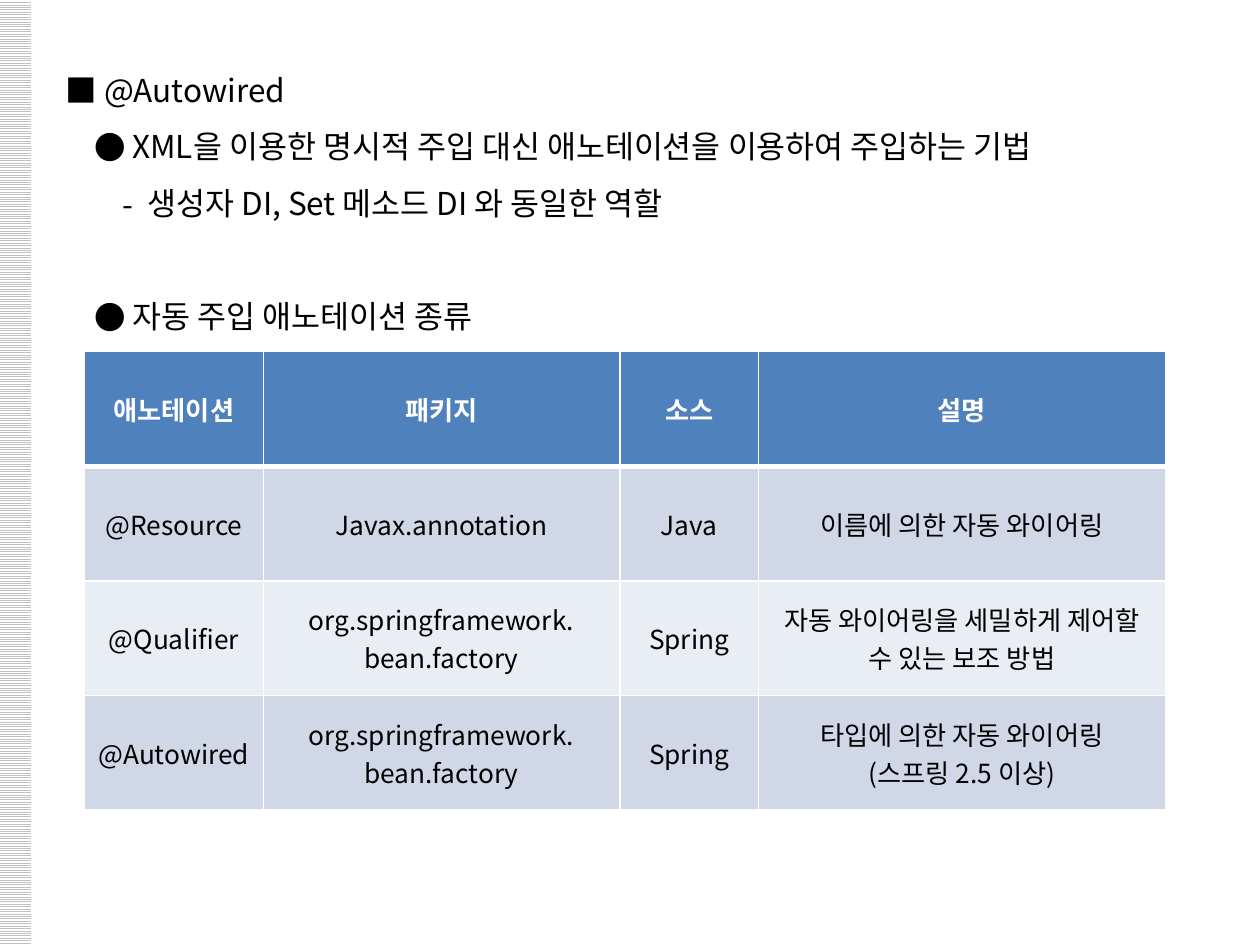
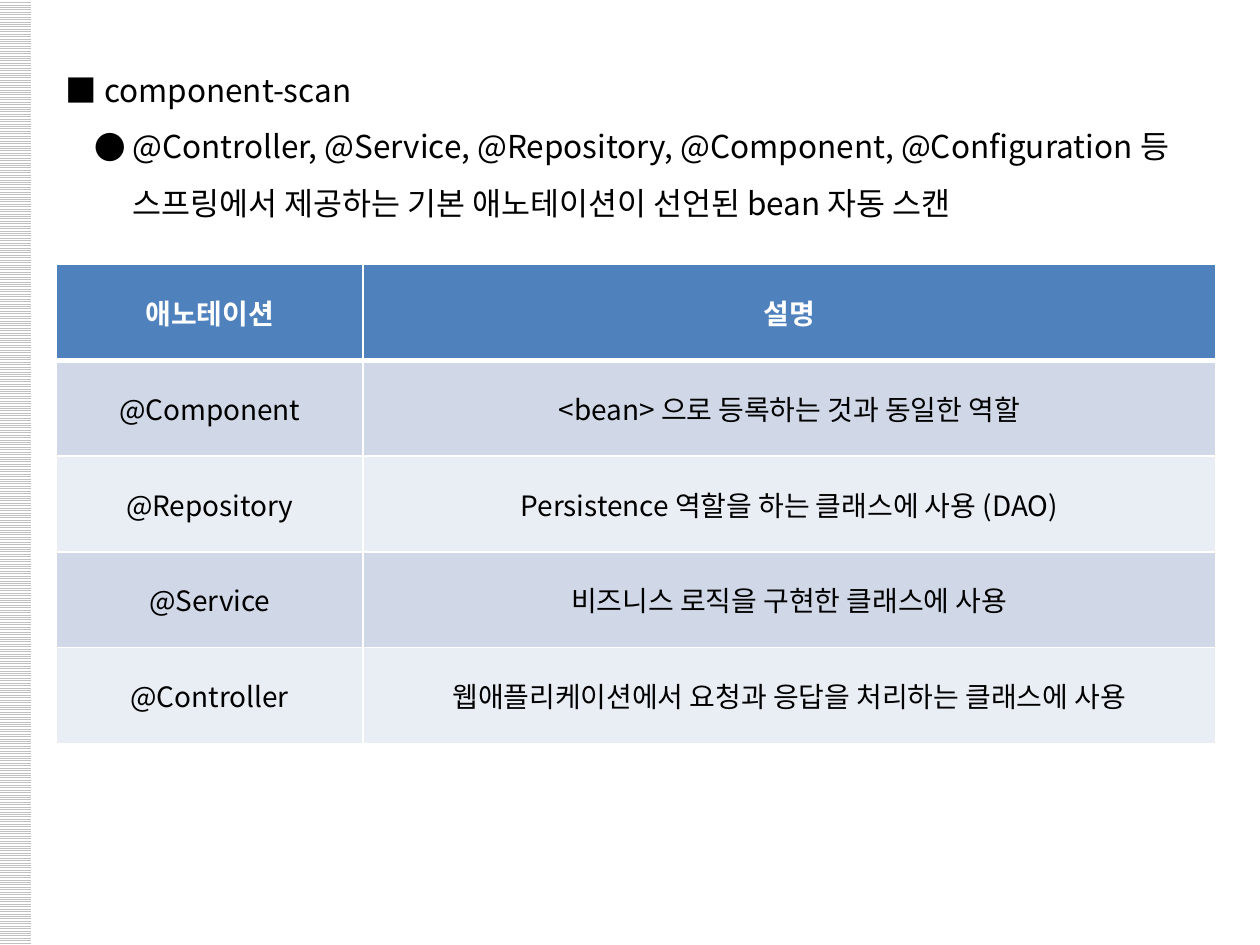
from lxml.etree import SubElement
from pptx import Presentation
from pptx.dml.color import RGBColor
from pptx.enum.dml import MSO_PATTERN
from pptx.enum.shapes import MSO_SHAPE
from pptx.enum.text import MSO_ANCHOR, MSO_AUTO_SIZE, PP_ALIGN
from pptx.oxml.ns import qn
from pptx.util import Inches, Pt

FONT = "Noto Sans CJK KR"
COLORS = {
    "text": "000000",
    "white": "FFFFFF",
    "stripe": "C0C0C0",
    "header": "4F81BD",
    "odd_row": "D0D8E8",
    "even_row": "E9EDF4",
}
TEXT_LEFT, TEXT_TOP, TEXT_WIDTH = 0.42, 0.36, 9.3
TEXT_SIZE = 18
LINE_PITCH = 0.45

# Bullet sign, text indent and hanging width of each list level
LEVELS = [("●", 0.53, 0.3), ("-", 0.65, 0.2)]


def color(name):
    return RGBColor.from_string(COLORS[name])


def style_para(para, size, color_name="text", bold=False, align=PP_ALIGN.LEFT):
    para.alignment = align
    font = para.font
    font.size, font.bold, font.name = Pt(size), bold, FONT
    font.color.rgb = color(color_name)
    # Korean letters take the East Asian typeface
    defaults = para._p.pPr.find(qn("a:defRPr"))
    SubElement(defaults, qn("a:ea")).set("typeface", FONT)


def set_bullet(para, level):
    sign, indent, hanging = LEVELS[level]
    props = para._p.get_or_add_pPr()
    props.set("marL", str(Inches(indent)))
    props.set("indent", str(-Inches(hanging)))
    SubElement(props, qn("a:buFont")).set("typeface", FONT)
    SubElement(props, qn("a:buChar")).set("char", sign)


def place_text(box, top, height):
    box.left, box.top = Inches(TEXT_LEFT), Inches(top)
    box.width, box.height = Inches(TEXT_WIDTH), Inches(height)
    frame = box.text_frame
    frame.word_wrap = True
    frame.auto_size = MSO_AUTO_SIZE.NONE
    frame.vertical_anchor = MSO_ANCHOR.TOP
    return frame


def add_title(page, text):
    frame = place_text(page.shapes.title, TEXT_TOP, LINE_PITCH + 0.1)
    frame.text = text
    para = frame.paragraphs[0]
    para.line_spacing = 1.5
    style_para(para, TEXT_SIZE)


def add_list(page, items, height):
    """Each item is (level, text, blank lines above)."""
    frame = place_text(page.placeholders[1], TEXT_TOP + LINE_PITCH, height)
    frame.text = "\n".join(text for _, text, _ in items)
    for para, (level, _, lines_above) in zip(frame.paragraphs, items):
        para.line_spacing = 1.5
        para.space_before = Inches(LINE_PITCH * lines_above)
        para.space_after = Pt(0)
        set_bullet(para, level)
        style_para(para, TEXT_SIZE)


def set_borders(cell, top, bottom):
    props = cell._tc.get_or_add_tcPr()
    for side, width in (("L", 1), ("R", 1), ("T", top), ("B", bottom)):
        line = SubElement(props, qn(f"a:ln{side}"), w=str(Pt(width)))
        fill = SubElement(line, qn("a:solidFill"))
        SubElement(fill, qn("a:srgbClr")).set("val", COLORS["white"])


def add_table(page, left, top, col_widths, row_height, rows, size):
    table = page.shapes.add_table(
        len(rows), len(col_widths), Inches(left), Inches(top),
        Inches(sum(col_widths)), Inches(row_height * len(rows))).table
    for column, width in zip(table.columns, col_widths):
        column.width = Inches(width)
    for row_no, texts in enumerate(rows):
        is_header = row_no == 0
        if is_header:
            fill_name = "header"
        else:
            fill_name = "odd_row" if row_no % 2 else "even_row"
        for col_no, text in enumerate(texts):
            cell = table.cell(row_no, col_no)
            set_borders(cell, top=3 if row_no == 1 else 1,
                        bottom=3 if is_header else 1)
            cell.fill.solid()
            cell.fill.fore_color.rgb = color(fill_name)
            cell.vertical_anchor = MSO_ANCHOR.MIDDLE
            cell.text_frame.text = text
            for para in cell.text_frame.paragraphs:
                style_para(para, size, "white" if is_header else "text",
                           is_header, PP_ALIGN.CENTER)


def add_master_stripe(deck, page):
    """Draw the left stripe, then move it to the master for all pages."""
    stripe = page.shapes.add_shape(MSO_SHAPE.RECTANGLE, Inches(-0.01), 0,
                                   Inches(0.26), deck.slide_height)
    stripe.shadow.inherit = False
    stripe.line.fill.background()
    stripe.fill.patterned()
    stripe.fill.pattern = MSO_PATTERN.LIGHT_HORIZONTAL
    stripe.fill.fore_color.rgb = color("stripe")
    stripe.fill.back_color.rgb = color("white")
    deck.slide_master.shapes._spTree.append(stripe._element)


def add_page(deck):
    return deck.slides.add_slide(deck.slide_layouts[1])


def build_autowired(page):
    add_title(page, "■ @Autowired")
    add_list(page, [
        (0, "XML을 이용한 명시적 주입 대신 애노테이션을 이용하여 주입하는 기법", 0),
        (1, "생성자 DI, Set 메소드 DI 와 동일한 역할", 0),
        (0, "자동 주입 애노테이션 종류", 1),
    ], height=1.92)
    spring_package = "org.springframework.\nbean.factory"
    add_table(page, 0.67, 2.79, [1.42, 2.83, 1.1, 3.23], 0.91, [
        ("애노테이션", "패키지", "소스", "설명"),
        ("@Resource", "Javax.annotation", "Java", "이름에 의한 자동 와이어링"),
        ("@Qualifier", spring_package, "Spring",
         "자동 와이어링을 세밀하게 제어할 수 있는 보조 방법"),
        ("@Autowired", spring_package, "Spring",
         "타입에 의한 자동 와이어링\n(스프링 2.5 이상)"),
    ], size=15)


def build_component_scan(page):
    add_title(page, "■ component-scan")
    add_list(page, [
        (0, "@Controller, @Service, @Repository, @Component, @Configuration 등\v"
            "스프링에서 제공하는 기본 애노테이션이 선언된 bean 자동 스캔", 0),
    ], height=1.01)
    add_table(page, 0.45, 2.1, [2.43, 6.77], 0.76, [
        ("애노테이션", "설명"),
        ("@Component", "<bean> 으로 등록하는 것과 동일한 역할"),
        ("@Repository", "Persistence 역할을 하는 클래스에 사용 (DAO)"),
        ("@Service", "비즈니스 로직을 구현한 클래스에 사용"),
        ("@Controller", "웹애플리케이션에서 요청과 응답을 처리하는 클래스에 사용"),
    ], size=16)


def main():
    deck = Presentation()
    deck.slide_width, deck.slide_height = Inches(10), Inches(7.5)
    first_page = add_page(deck)
    add_master_stripe(deck, first_page)
    build_autowired(first_page)
    build_component_scan(add_page(deck))
    deck.save("out.pptx")


if __name__ == "__main__":
    main()
